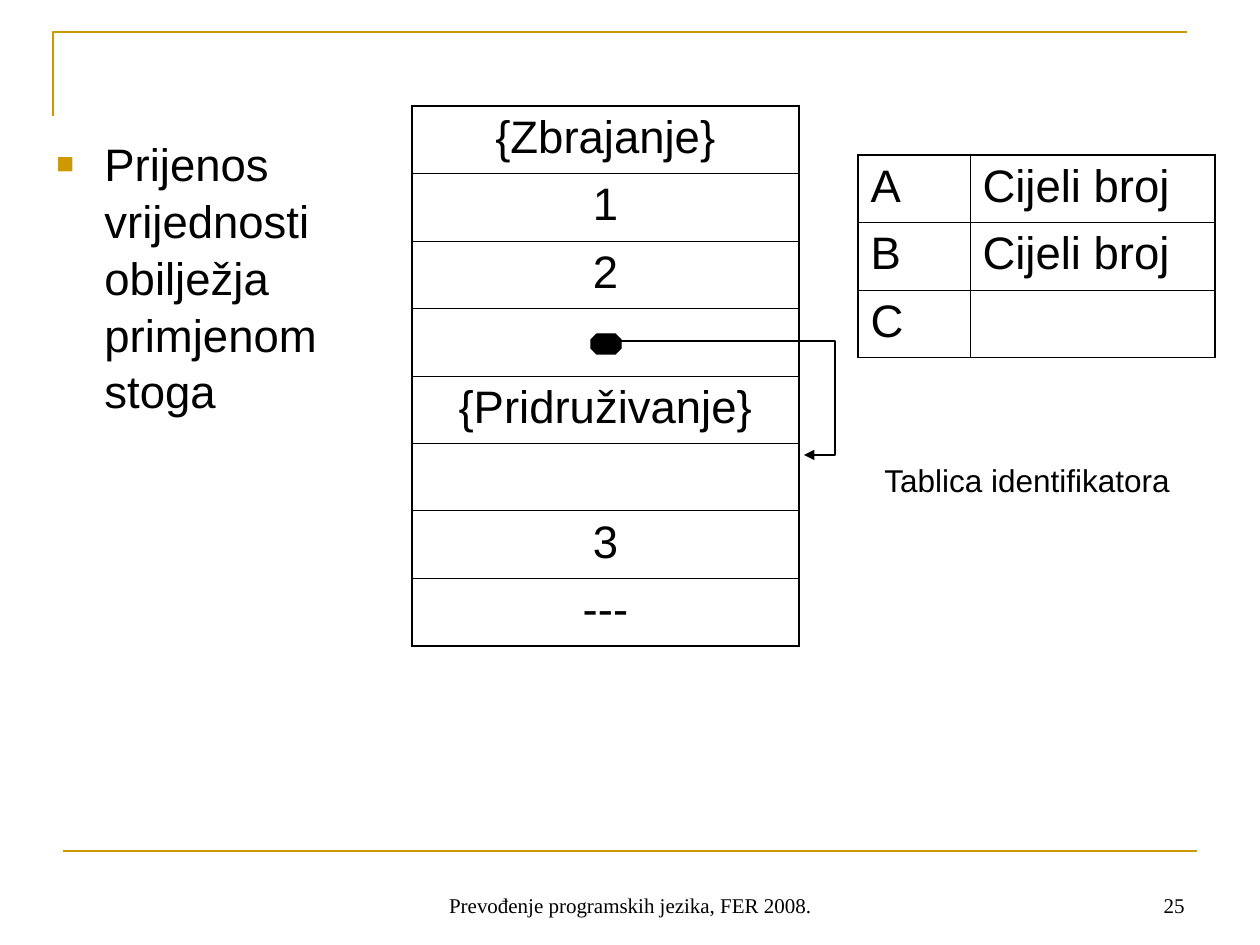
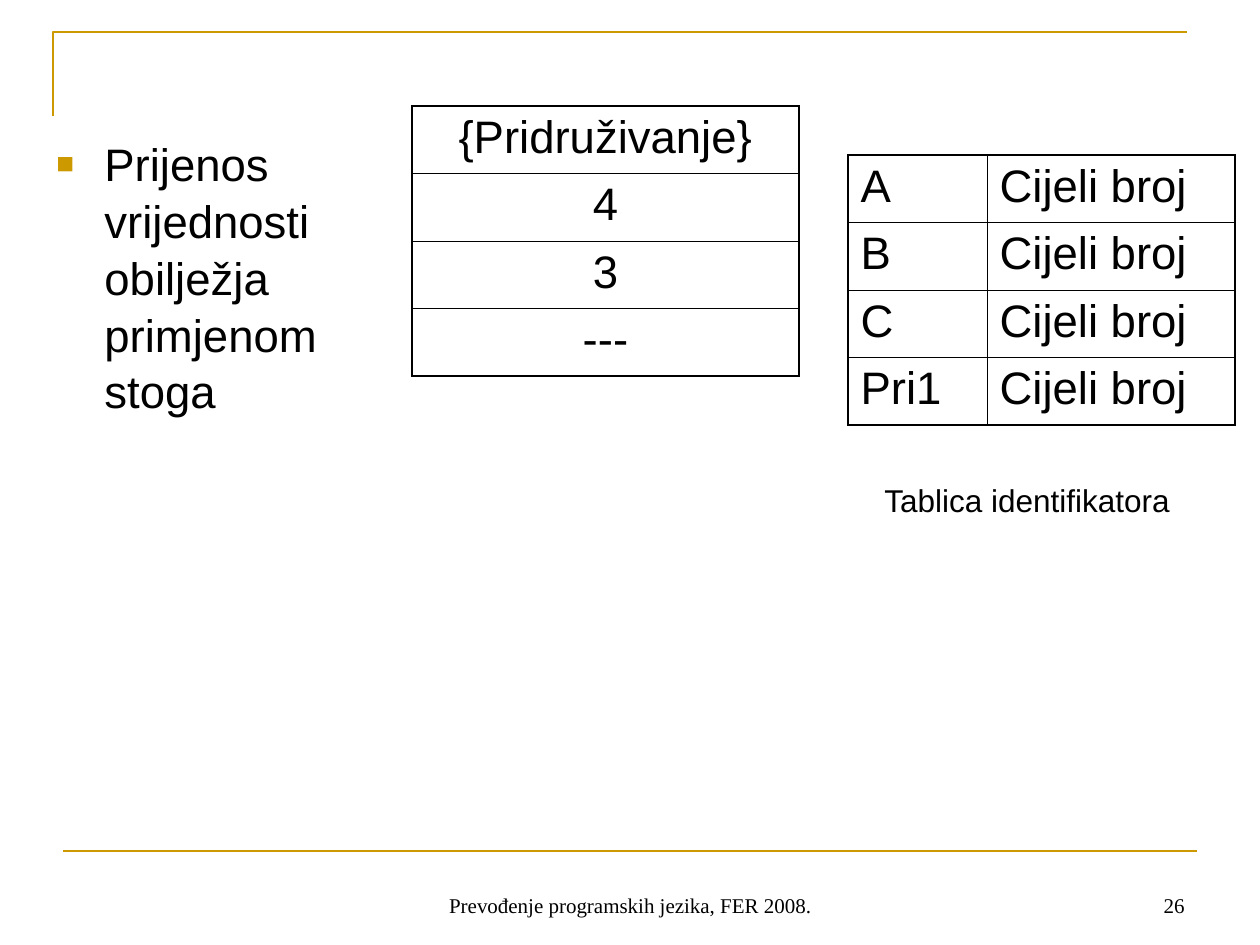
"""Builds two slides on passing attribute values with a stack."""
from lxml import etree
from pptx import Presentation
from pptx.dml.color import RGBColor
from pptx.enum.shapes import MSO_CONNECTOR, MSO_SHAPE
from pptx.enum.text import MSO_ANCHOR, PP_ALIGN
from pptx.oxml.ns import qn
from pptx.util import Emu, Pt

SCALE = 914400 / 126
BLACK = RGBColor(0x00, 0x00, 0x00)
GOLD = RGBColor(0xCC, 0x99, 0x00)
SANS, SERIF = "Arial", "Times New Roman"
LEFT, CENTER, RIGHT = PP_ALIGN.LEFT, PP_ALIGN.CENTER, PP_ALIGN.RIGHT
TOP, BOTTOM = MSO_ANCHOR.TOP, MSO_ANCHOR.BOTTOM
STRAIGHT, ELBOW = MSO_CONNECTOR.STRAIGHT, MSO_CONNECTOR.ELBOW
OCTAGON = MSO_SHAPE.OCTAGON
OUTER, INNER = 1.08, 0.45
TWO_ROWS = 135
INTEGER = "Cijeli broj"


def px(length):
    return Emu(round(length * SCALE))


def add_xml(parent, tag, **attributes):
    values = {key: str(value) for key, value in attributes.items()}
    return etree.SubElement(parent, qn(tag), values)


def write(frame, text, size=26, font=SANS, color=BLACK, align=LEFT,
          spacing=None, bullet=None):
    paragraph = frame.paragraphs[0]
    paragraph.alignment = align
    paragraph.line_spacing = spacing
    if bullet:
        properties = paragraph._p.get_or_add_pPr()
        properties.set("marL", str(px(48)))
        properties.set("indent", str(-px(48)))
        add_xml(add_xml(properties, "a:buClr"), "a:srgbClr", val=GOLD)
        add_xml(properties, "a:buSzPct", val=65000)
        add_xml(properties, "a:buFont", typeface=font)
        add_xml(properties, "a:buChar", char=bullet)
    run = paragraph.add_run()
    run.text = text
    run.font.size = Pt(size)
    run.font.name = font
    run.font.color.rgb = color


class Deck:
    """Holds the shared style and the slide being drawn."""

    def __init__(self):
        self.presentation = Presentation()
        self.presentation.slide_width = px(1260)
        self.presentation.slide_height = px(945)
        self.shapes = None

    def new_slide(self, number):
        blank = self.presentation.slide_layouts[6]
        self.shapes = self.presentation.slides.add_slide(blank).shapes
        self.corner([(53, 116), (53, 32), (1187, 32)])
        self.connector((63, 851), (1197, 851), color=GOLD, weight=1.5)
        self.text("Prijenos vrijednosti obilježja primjenom stoga",
                  44, 128, 400, 624, spacing=1.04, bullet="■")
        footer = dict(size=12, font=SERIF, anchor=BOTTOM)
        self.text("Prevođenje programskih jezika, FER 2008.",
                  431, 861, 399, 63, align=CENTER, **footer)
        self.text(str(number), 903, 861, 294, 63, align=RIGHT, **footer)

    def corner(self, points):
        builder = self.shapes.build_freeform(*points[0], scale=SCALE)
        builder.add_line_segments(points[1:], close=False)
        corner = builder.convert_to_shape()
        corner.shadow.inherit = False
        corner.fill.background()
        corner.line.color.rgb = GOLD
        corner.line.width = Pt(1.5)

    def connector(self, start, end, kind=STRAIGHT, color=BLACK, weight=0.75,
                  bend=None, arrow=False):
        ends = [px(value) for value in (*start, *end)]
        connector = self.shapes.add_connector(kind, *ends)
        connector.line.color.rgb = color
        connector.line.width = Pt(weight)
        properties = connector._element.spPr
        if bend:
            guides = properties.find(qn("a:prstGeom")).get_or_add_avLst()
            add_xml(guides, "a:gd", name="adj1", fmla=f"val {bend}")
        if arrow:
            add_xml(connector.line._get_or_add_ln(), "a:tailEnd", type="triangle")
        add_xml(properties, "a:effectLst")

    def text(self, text, left, top, width, height, anchor=TOP, **style):
        box = self.shapes.add_textbox(px(left), px(top), px(width), px(height))
        frame = box.text_frame
        frame.word_wrap = True
        frame.vertical_anchor = anchor
        write(frame, text, **style)

    def dot(self, left, top, width, height):
        dot = self.shapes.add_shape(OCTAGON, px(left), px(top), px(width), px(height))
        dot.adjustments[0] = 0.29
        dot.shadow.inherit = False
        dot.fill.solid()
        dot.fill.fore_color.rgb = BLACK
        dot.line.color.rgb = BLACK
        dot.line.width = Pt(0.75)

    def table(self, rows, left, top, widths, align=LEFT):
        count = len(rows)
        table = self.shapes.add_table(
            count, len(widths), px(left), px(top), px(sum(widths)),
            px(count * TWO_ROWS / 2)).table
        table.first_row = table.horz_banding = False
        for column, width in zip(table.columns, widths):
            column.width = px(width)
        for row, texts in enumerate(rows):
            table.rows[row].height = px(TWO_ROWS / 2)
            for column, text in enumerate(texts):
                cell = table.cell(row, column)
                write(cell.text_frame, text, align=align)
                self.borders(cell, lnL=column == 0, lnR=column == len(widths) - 1,
                             lnT=row == 0, lnB=row == count - 1)
                cell.fill.background()

    def borders(self, cell, **edges):
        properties = cell._tc.get_or_add_tcPr()
        for edge, is_outer in edges.items():
            weight = Pt(OUTER if is_outer else INNER)
            line = add_xml(properties, f"a:{edge}", w=weight)
            add_xml(add_xml(line, "a:solidFill"), "a:srgbClr", val=BLACK)

    def stack(self, *items):
        self.table([[item] for item in items], 412, 106, [387], align=CENTER)

    def identifiers(self, rows, left, widths, caption_top):
        self.table(rows, left, 155, widths)
        self.text("Tablica identifikatora", 868, caption_top, 318, 50,
                  size=18, align=CENTER)


def main():
    deck = Deck()

    deck.new_slide(25)
    deck.identifiers([("A", INTEGER), ("B", INTEGER), ("C", "")],
                     858, [112, 245], 455)
    deck.stack("{Zbrajanje}", "1", "2", "", "{Pridruživanje}", "", "3", "---")
    deck.dot(591, 334, 30, 20)
    deck.connector((610, 341), (804, 455), kind=ELBOW, bend=116000, arrow=True)

    deck.new_slide(26)
    deck.identifiers([(name, INTEGER) for name in ("A", "B", "C", "Pri1")],
                     848, [139, 248], 475)
    deck.stack("{Pridruživanje}", "4", "3", "---")

    deck.presentation.save("out.pptx")


if __name__ == "__main__":
    main()
